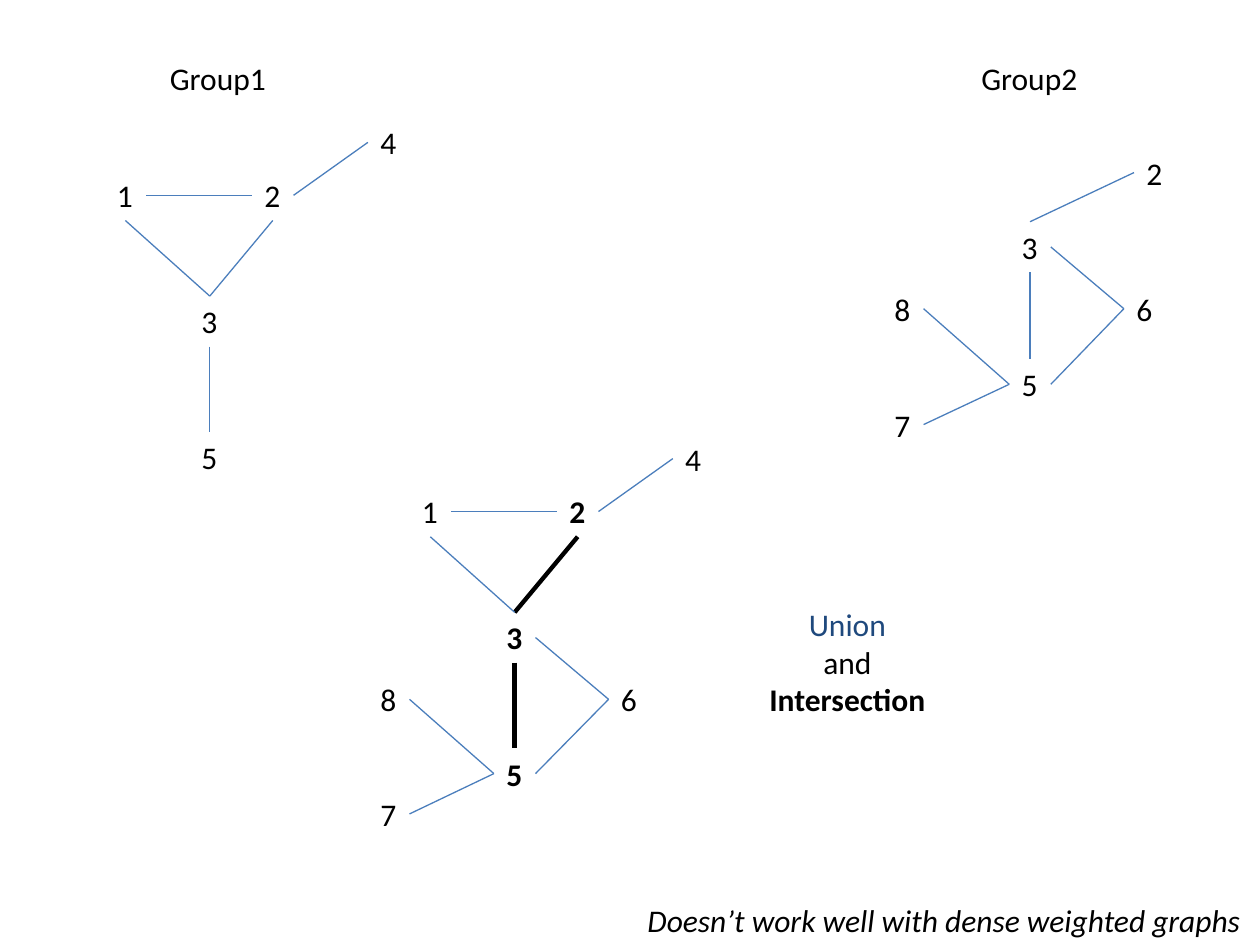
from dataclasses import dataclass

import pptx
import pptx.dml.color
import pptx.enum.shapes
import pptx.enum.text
import pptx.oxml.ns
import pptx.util
from lxml import etree

Inches = pptx.util.Inches
BLACK, BLUE, NAVY = "000000", "4B7EBC", "1F497D"
TOP, LEFT, BOTTOM, RIGHT = range(4)
NODE_WIDTH, LINE_HEIGHT = 0.33, 0.4


@dataclass(frozen=True)
class Span:
    text: str
    color: str = BLACK
    bold: bool = False
    italic: bool = False


@dataclass(frozen=True)
class Node:
    label: str
    left: float
    top: float
    shared: bool = False


@dataclass(frozen=True)
class Edge:
    start: str
    start_side: int
    end: str
    end_side: int
    shared: bool = False


@dataclass(frozen=True)
class Graph:
    nodes: list[Node]
    edges: list[Edge]


@dataclass(frozen=True)
class Caption:
    left: float
    top: float
    width: float
    height: float
    spans: list[Span]
    centered: bool = False


def rgb(color: str) -> pptx.dml.color.RGBColor:
    return pptx.dml.color.RGBColor.from_string(color)


def draw_caption(page, caption: Caption):
    box = page.shapes.add_textbox(
        Inches(caption.left), Inches(caption.top),
        Inches(caption.width), Inches(caption.height))
    frame = box.text_frame
    frame.word_wrap = False
    frame.auto_size = pptx.enum.text.MSO_AUTO_SIZE.SHAPE_TO_FIT_TEXT
    para = frame.paragraphs[0]
    if caption.centered:
        para.alignment = pptx.enum.text.PP_ALIGN.CENTER
    for index, span in enumerate(caption.spans):
        if index:
            para.add_line_break()
        run = para.add_run()
        run.text = span.text
        run.font.name = "Calibri"
        run.font.size = pptx.util.Pt(18)
        run.font.bold = span.bold
        run.font.italic = span.italic
        run.font.color.rgb = rgb(span.color)
    return box


def draw_node(page, node: Node):
    return draw_caption(page, Caption(
        node.left, node.top, NODE_WIDTH, LINE_HEIGHT,
        [Span(node.label, bold=node.shared)]))


def draw_edge(page, edge: Edge, boxes: dict) -> None:
    line = page.shapes.add_connector(
        pptx.enum.shapes.MSO_CONNECTOR.STRAIGHT, 0, 0, 0, 0)
    line.begin_connect(boxes[edge.start], edge.start_side)
    line.end_connect(boxes[edge.end], edge.end_side)
    line.line.color.rgb = rgb(BLACK if edge.shared else BLUE)
    line.line.width = pptx.util.Pt(2.5 if edge.shared else 0.75)
    etree.SubElement(line._element.spPr, pptx.oxml.ns.qn("a:effectLst"))


def draw_graph(page, graph: Graph) -> None:
    boxes = {node.label: draw_node(page, node) for node in graph.nodes}
    for edge in graph.edges:
        draw_edge(page, edge, boxes)


def triangle_edges(shared: bool) -> list[Edge]:
    return [
        Edge("1", RIGHT, "2", LEFT),
        Edge("3", TOP, "2", BOTTOM, shared),
        Edge("1", BOTTOM, "3", TOP),
        Edge("2", RIGHT, "4", LEFT),
        Edge("3", BOTTOM, "5", TOP, shared),
    ]


OUTER_EDGES = [
    Edge("6", LEFT, "3", RIGHT),
    Edge("5", RIGHT, "6", LEFT),
    Edge("8", RIGHT, "5", LEFT),
    Edge("7", RIGHT, "5", LEFT),
]

GRAPHS = [
    Graph(
        [Node("1", 0.83, 1.35), Node("2", 2, 1.35), Node("3", 1.5, 2.35),
         Node("4", 2.92, 0.93), Node("5", 1.5, 3.43)],
        triangle_edges(shared=False)),
    Graph(
        [Node("1", 3.25, 3.86), Node("2", 4.42, 3.86, True),
         Node("3", 3.92, 4.86, True), Node("4", 5.34, 3.44),
         Node("5", 3.92, 5.94, True), Node("6", 4.83, 5.35),
         Node("7", 2.92, 6.26), Node("8", 2.92, 5.35)],
        triangle_edges(shared=True) + OUTER_EDGES),
    Graph(
        [Node("2", 9, 1.17), Node("3", 8.01, 1.76), Node("5", 8.01, 2.85),
         Node("6", 8.92, 2.25), Node("7", 7, 3.17), Node("8", 7, 2.25)],
        [Edge("3", TOP, "2", LEFT), Edge("3", BOTTOM, "5", TOP)] + OUTER_EDGES),
]

CAPTIONS = [
    Caption(1.25, 0.42, 0.97, LINE_HEIGHT, [Span("Group1")]),
    Caption(7.69, 0.42, 0.97, LINE_HEIGHT, [Span("Group2")]),
    Caption(6, 4.75, 1.45, 1.01,
            [Span("Union", NAVY), Span("and"), Span("Intersection", bold=True)],
            centered=True),
    Caption(5.04, 7.1, 4.96, LINE_HEIGHT,
            [Span("Doesn’t work well with dense weighted graphs", italic=True)]),
]


def main() -> None:
    deck = pptx.Presentation()
    deck.slide_width = Inches(10)
    deck.slide_height = Inches(7.5)
    page = deck.slides.add_slide(deck.slide_layouts[6])
    for graph in GRAPHS:
        draw_graph(page, graph)
    for caption in CAPTIONS:
        draw_caption(page, caption)
    deck.save("out.pptx")


if __name__ == "__main__":
    main()
